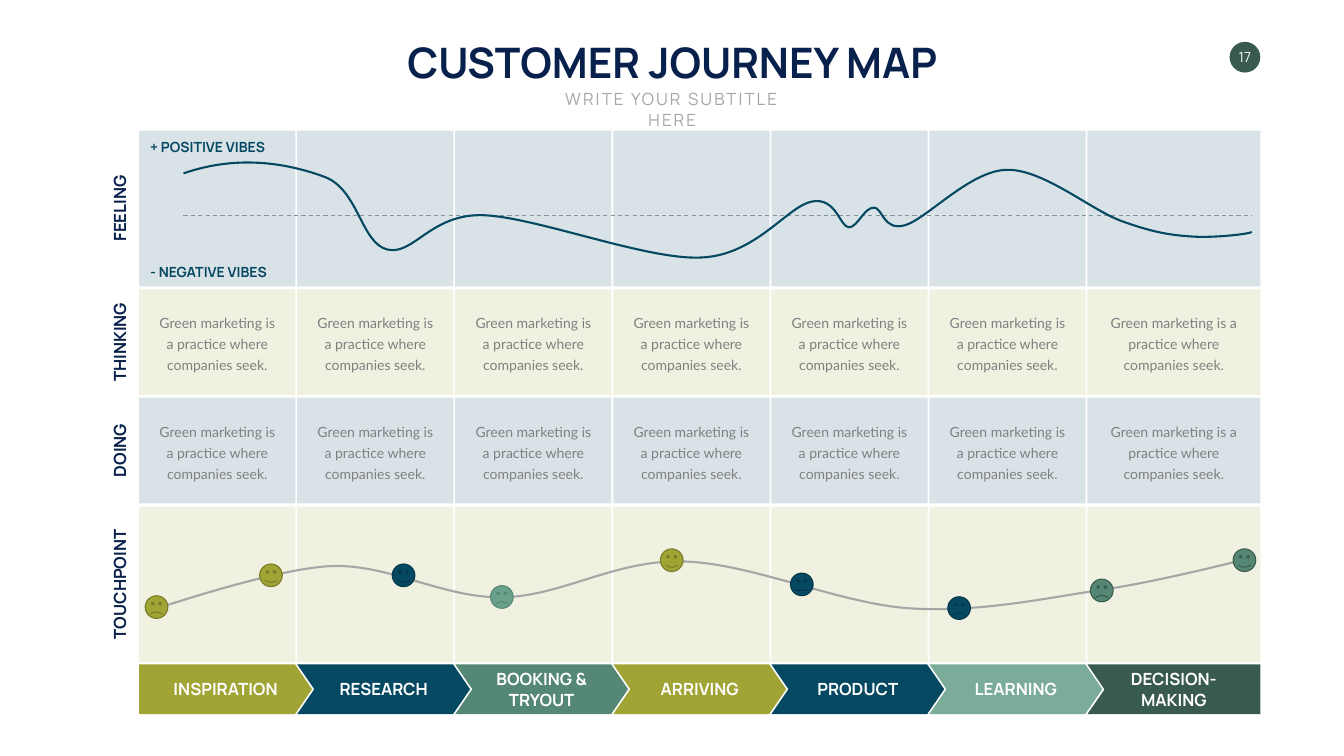
"""Build a customer journey map slide."""
from lxml import etree
from pptx import Presentation
from pptx import util as u
from pptx.dml.color import RGBColor
from pptx.enum import dml, shapes, text
from pptx.oxml.ns import qn

PX = 9144
THEME = {
    "navy": "08204C", "blue": "054862", "olive": "A0A434", "green": "558874",
    "sage": "7BAB99", "forest": "395A4E", "mint": "69A18B", "teal": "568774",
    "olive_line": "787B27", "blue_line": "04374A", "white": "FFFFFF",
    "muted": "A6A6A6", "body": "808080", "axis": "7F9699", "tint": 15,
    "title": {"name": "Manrope", "size": u.Pt(60), "bold": True},
    "subtitle": {"name": "Manrope", "size": u.Pt(24), "bold": False},
    "label": {"name": "Manrope", "size": u.Pt(24), "bold": True},
    "vibe": {"name": "Manrope", "size": u.Pt(20), "bold": True},
    "number": {"name": "Manrope", "size": u.Pt(20), "bold": False},
    "cell": {"name": "Lato", "size": u.Pt(20), "bold": False},
}
TITLE, SUBTITLE, NUMBER = "CUSTOMER JOURNEY MAP", "WRITE YOUR SUBTITLE HERE", "17"
THOUGHT = "Green marketing is a practice where companies seek."
ROWS = [
    ("FEELING", 259, 309, "blue", 152, None),
    ("THINKING", 574, 210, "olive", 184, THOUGHT),
    ("DOING", 789, 210, "blue", 132, THOUGHT),
    ("TOUCHPOINT", 1005, 309, "olive", 243, None),
]
STAGES = [("INSPIRATION", "olive"), ("RESEARCH", "blue"), ("BOOKING &\nTRYOUT", "green"),
          ("ARRIVING", "olive"), ("PRODUCT", "blue"), ("LEARNING", "sage"),
          ("DECISION-\nMAKING", "forest")]
VIBES = [("+ POSITIVE VIBES", 269, 255), ("- NEGATIVE VIBES", 517, 267)]
FEELING_CURVE = [
    (364, 344), (476, 305), (576, 326), (644, 351), (711, 376), (716, 482), (768, 495),
    (820, 508), (854, 424), (958, 427), (1061, 430), (1282, 516), (1390, 511),
    (1499, 507), (1561, 410), (1610, 400), (1659, 390), (1666, 451), (1684, 451),
    (1701, 451), (1714, 412), (1733, 412), (1751, 411), (1751, 459), (1795, 447),
    (1839, 434), (1925, 338), (1997, 337), (2068, 335), (2162, 415), (2223, 438),
    (2284, 460), (2317, 466), (2360, 469), (2403, 473), (2483, 464), (2483, 460)]
TOUCH_CURVE = [
    (311, 1207), (312, 1208), (546, 1127), (660, 1123), (775, 1120), (880, 1187),
    (996, 1185), (1112, 1184), (1221, 1110), (1355, 1114), (1490, 1117), (1665, 1198),
    (1805, 1207), (1945, 1216), (2082, 1185), (2194, 1169), (2307, 1152), (2482, 1107),
    (2479, 1107)]
SMILE, FROWN, FLAT = 0.0465, -0.0465, -0.002
FACES = [
    (288, 1182, FROWN, "olive", "olive_line"), (515, 1119, SMILE, "olive", "olive_line"),
    (778, 1119, SMILE, "blue", "blue_line"), (973, 1162, FROWN, "mint", "green"),
    (1310, 1089, SMILE, "olive", "olive_line"), (1568, 1137, FLAT, "blue", "blue_line"),
    (1880, 1184, FROWN, "blue", "blue_line"), (2163, 1149, FROWN, "teal", "forest"),
    (2446, 1089, SMILE, "teal", "forest")]
LEFT, RIGHT, PITCH, GAP, INSET = 276, 2500, 313.5, 3.5, 21
STAGE_TOP, STAGE_W, STAGE_H, NOTCH = 1318, 343, 99, 34
LABEL_X, LABEL_H, CELL_H, FACE = 237, 50, 132, 45


def emu(*lengths):
    return [round(n * PX) for n in lengths]


def color(name):
    return RGBColor.from_string(THEME[name])


def paint(sp, fill=None, line=None, width=1.5, alpha=None):
    sp.shadow.inherit = False
    if fill:
        sp.fill.solid()
        sp.fill.fore_color.rgb = color(fill)
    else:
        sp.fill.background()
    if alpha:
        srgb = sp._element.spPr.find(qn("a:solidFill"))[0]
        etree.SubElement(srgb, qn("a:alpha")).set("val", str(alpha * 1000))
    if line:
        sp.line.color.rgb = color(line)
        sp.line.width = u.Pt(width)
    else:
        sp.line.fill.background()
    return sp


def preset(s, kind, box, **look):
    return paint(s.shapes.add_shape(kind, *emu(*box)), **look)


def write(sp, words, style, ink, align="CENTER", spacing=None, **frame):
    tf = sp.text_frame
    tf.text = words
    for key, value in frame.items():
        setattr(tf, key, value)
    for p in tf.paragraphs:
        p.alignment = getattr(text.PP_ALIGN, align)
        if spacing:
            p.line_spacing = spacing
        for r in p.runs:
            for key, value in THEME[style].items():
                setattr(r.font, key, value)
            r.font.color.rgb = color(ink)
    return sp


def label(s, box, words, style, ink, wrap=False, anchor=text.MSO_ANCHOR.MIDDLE, **more):
    sp = s.shapes.add_textbox(*emu(*box))
    return write(sp, words, style, ink, word_wrap=wrap, vertical_anchor=anchor, **more)


def outline(s, points, close, **look):
    fb = s.shapes.build_freeform(*points[0], scale=PX)
    fb.add_line_segments(points[1:], close=close)
    return paint(fb.convert_to_shape(), **look)


def curve(s, points, ink):
    sp = outline(s, points, False, line=ink, width=3)
    path = next(sp._element.iter(qn("a:path")))
    ends = path.findall(qn("a:lnTo"))
    for i in range(0, len(ends), 3):
        bezier = etree.SubElement(path, qn("a:cubicBezTo"))
        for end in ends[i:i + 3]:
            bezier.append(end[0])
            path.remove(end)


def add_heading(s):
    sp = s.shapes.title
    for key, n in zip(("left", "top", "width", "height"), emu(778, 67, 1111, 111)):
        setattr(sp, key, n)
    write(sp, TITLE, "title", "navy", word_wrap=False, vertical_anchor=text.MSO_ANCHOR.TOP)
    sp = label(s, (1062, 172, 543, 50), SUBTITLE, "subtitle", "muted", wrap=True,
               anchor=text.MSO_ANCHOR.TOP)
    sp.text_frame.paragraphs[0].runs[0].font._element.set("spc", "300")
    sp = preset(s, shapes.MSO_SHAPE.OVAL, (2439, 83, 61, 61), fill="forest")
    write(sp, NUMBER, "number", "white", word_wrap=False, margin_left=0, margin_right=0,
          margin_top=0, margin_bottom=0, vertical_anchor=text.MSO_ANCHOR.MIDDLE)


def add_rows(s):
    lefts = [LEFT + PITCH * i for i in range(len(STAGES))]
    for name, top, height, fill, length, words in ROWS:
        middle = top + height / 2
        for x, following in zip(lefts, lefts[1:] + [RIGHT + GAP]):
            width = following - GAP - x
            preset(s, shapes.MSO_SHAPE.RECTANGLE, (x, top, width, height),
                   fill=fill, alpha=THEME["tint"])
            if words:
                label(s, (x + INSET, middle - CELL_H / 2, width - 2 * INSET, CELL_H),
                      words, "cell", "body", wrap=True, spacing=u.Pt(30))
        sp = label(s, (LABEL_X - length / 2, middle - LABEL_H / 2, length, LABEL_H),
                   name, "label", "navy")
        sp.rotation = 270


def add_stages(s):
    for i, (name, fill) in enumerate(STAGES):
        x, bottom = LEFT + PITCH * i, STAGE_TOP + STAGE_H
        if i == len(STAGES) - 1:
            outline(s, [(x, STAGE_TOP), (RIGHT, STAGE_TOP), (RIGHT, bottom), (x, bottom),
                        (x + NOTCH, STAGE_TOP + STAGE_H / 2)], True, fill=fill)
        else:
            kind = shapes.MSO_SHAPE.CHEVRON if i else shapes.MSO_SHAPE.PENTAGON
            sp = preset(s, kind, (x, STAGE_TOP, STAGE_W, STAGE_H), fill=fill)
            sp.adjustments[0] = NOTCH / STAGE_H
        label(s, (x + 50, STAGE_TOP, STAGE_W - 100, STAGE_H), name, "label", "white")


def add_curves(s):
    axis = s.shapes.add_connector(shapes.MSO_CONNECTOR.STRAIGHT, *emu(364, 428, 2484, 428))
    axis.line.color.rgb = color("axis")
    axis.line.width = u.Pt(1.5)
    axis.line.dash_style = dml.MSO_LINE.DASH
    etree.SubElement(axis._element.spPr, qn("a:effectLst"))
    curve(s, FEELING_CURVE, "blue")
    curve(s, TOUCH_CURVE, "muted")
    for x, y, mood, fill, line in FACES:
        sp = preset(s, shapes.MSO_SHAPE.SMILEY_FACE, (x, y, FACE, FACE), fill=fill, line=line)
        sp.adjustments[0] = mood
    for words, top, width in VIBES:
        label(s, (288, top, width, 44), words, "vibe", "blue", align="LEFT")


def main():
    prs = Presentation()
    prs.slide_width, prs.slide_height = emu(2666, 1500)
    s = prs.slides.add_slide(prs.slide_layouts[5])
    add_heading(s)
    add_rows(s)
    add_stages(s)
    add_curves(s)
    prs.save("out.pptx")


if __name__ == "__main__":
    main()
